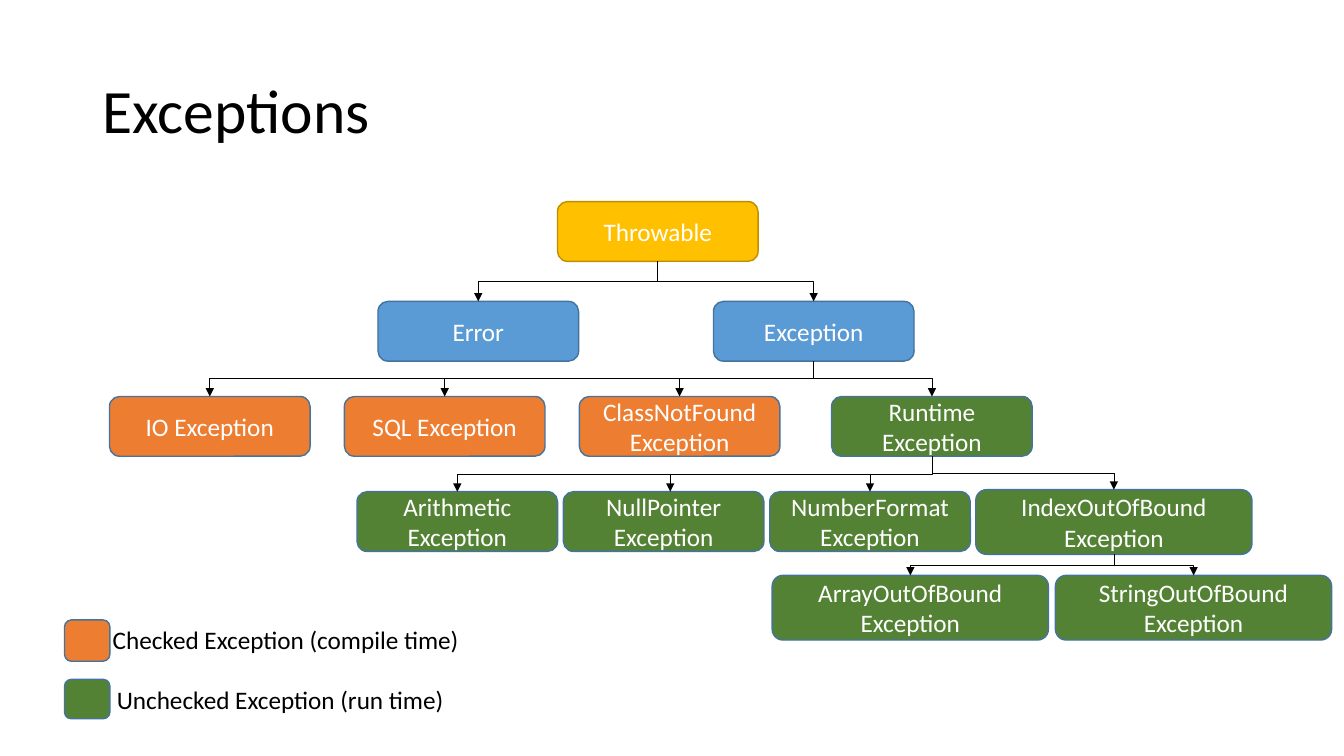
from lxml.etree import SubElement
from pptx import Presentation
from pptx.dml.color import RGBColor
from pptx.enum.shapes import MSO_CONNECTOR, MSO_SHAPE
from pptx.enum.text import MSO_ANCHOR, MSO_AUTO_SIZE, PP_ALIGN
from pptx.oxml.ns import qn
from pptx.util import Pt

BLACK = RGBColor(0x00, 0x00, 0x00)
WHITE = RGBColor(0xFF, 0xFF, 0xFF)
GOLD = RGBColor(0xFF, 0xC0, 0x00)
DARK_GOLD = RGBColor(0xBD, 0x8E, 0x00)
BLUE = RGBColor(0x5B, 0x9B, 0xD5)
DARK_BLUE = RGBColor(0x43, 0x73, 0x9E)
ORANGE = RGBColor(0xED, 0x7D, 0x31)
GREEN = RGBColor(0x54, 0x82, 0x35)

BOX_SIZE = (143.3, 42.7)
WIDE_BOX_SIZE = (197.3, 46.2)
BOTTOM, TOP = 2, 0


class TreeSlide:
    """Holds the style and the current slide; lengths are in points."""

    font_name = "Calibri"
    text_size = 18
    title_size = 44

    def __init__(self, slide):
        self.slide = slide

    def style_text(self, paragraph, size, color, alignment):
        paragraph.alignment = alignment
        paragraph.font.name = self.font_name
        paragraph.font.size = Pt(size)
        paragraph.font.color.rgb = color

    def title(self, text, left, top, width, height):
        shape = self.slide.shapes.title
        shape.left, shape.top = Pt(left), Pt(top)
        shape.width, shape.height = Pt(width), Pt(height)
        frame = shape.text_frame
        frame.text = text
        frame.auto_size = MSO_AUTO_SIZE.NONE
        frame.vertical_anchor = MSO_ANCHOR.MIDDLE
        frame.paragraphs[0].line_spacing = 0.9
        self.style_text(frame.paragraphs[0], self.title_size, BLACK, PP_ALIGN.LEFT)

    def box(self, text, left, top, fill, size=BOX_SIZE, outline=DARK_BLUE):
        shape = self.slide.shapes.add_shape(
            MSO_SHAPE.ROUNDED_RECTANGLE, Pt(left), Pt(top), Pt(size[0]), Pt(size[1]))
        shape.shadow.inherit = False
        shape.fill.solid()
        shape.fill.fore_color.rgb = fill
        shape.line.color.rgb = outline
        shape.line.width = Pt(1)
        if text:
            frame = shape.text_frame
            frame.text = text
            frame.word_wrap = True
            frame.vertical_anchor = MSO_ANCHOR.MIDDLE
            self.style_text(frame.paragraphs[0], self.text_size, WHITE, PP_ALIGN.CENTER)
        return shape

    def label(self, text, left, top, width, height):
        frame = self.slide.shapes.add_textbox(
            Pt(left), Pt(top), Pt(width), Pt(height)).text_frame
        frame.text = text
        frame.word_wrap = False
        frame.auto_size = MSO_AUTO_SIZE.SHAPE_TO_FIT_TEXT
        self.style_text(frame.paragraphs[0], self.text_size, BLACK, PP_ALIGN.LEFT)

    def arrow(self, kind, start_x, start_y, end_x, end_y):
        connector = self.slide.shapes.add_connector(kind, start_x, start_y, end_x, end_y)
        connector.line.color.rgb = BLACK
        connector.line.width = Pt(0.5)
        SubElement(connector.line._get_or_add_ln(), qn("a:tailEnd"), type="triangle")
        SubElement(connector._element.spPr, qn("a:effectLst"))
        return connector

    def branch(self, parent, child):
        """Elbow arrow from the bottom of the parent to the top of the child."""
        start_x, start_y = parent.left + parent.width // 2, parent.top + parent.height
        end_x, end_y = child.left + child.width // 2, child.top
        connector = self.arrow(MSO_CONNECTOR.ELBOW, start_x, start_y, end_x, end_y)
        connector.begin_connect(parent, BOTTOM)
        connector.end_connect(child, TOP)
        # A vertical start needs a quarter turn about the centre
        drop, reach = end_y - start_y, abs(end_x - start_x)
        connector.left = (start_x + end_x - drop) // 2
        connector.top = (start_y + end_y - reach) // 2
        connector.width, connector.height = drop, reach
        transform = connector._element.spPr.find(qn("a:xfrm"))
        for flip in ("flipH", "flipV"):
            transform.attrib.pop(flip, None)
        if end_x > start_x:
            transform.set("rot", "16200000")
            transform.set("flipH", "1")
        else:
            transform.set("rot", "5400000")

    def drop(self, parent, child, shift=0):
        """Straight arrow from the middle of the gap below the parent to the child."""
        x = child.left + child.width // 2 + Pt(shift)
        middle = (parent.top + parent.height + child.top) // 2
        connector = self.arrow(MSO_CONNECTOR.STRAIGHT, x, middle, x, child.top)
        if not shift:
            connector.end_connect(child, TOP)


def main():
    presentation = Presentation()
    presentation.slide_width, presentation.slide_height = Pt(960), Pt(540)
    tree = TreeSlide(presentation.slides.add_slide(presentation.slide_layouts[5]))
    tree.title("Exceptions", 66, 28.75, 828, 104.4)

    # Top levels
    throwable = tree.box("Throwable", 398.2, 144, GOLD, outline=DARK_GOLD)
    error = tree.box("Error", 270, 215.3, BLUE)
    exception = tree.box("Exception", 509.6, 215.3, BLUE)

    # Kinds of exception
    checked_names = ("IO Exception", "SQL Exception", "ClassNotFound Exception")
    input_output, sql, class_not_found = [
        tree.box(name, 78.2 + 167.8 * column, 283.2, ORANGE)
        for column, name in enumerate(checked_names)]
    runtime = tree.box("Runtime Exception", 594, 283.2, GREEN)

    # Kinds of runtime exception
    runtime_names = ("Arithmetic Exception", "NullPointer Exception",
                     "NumberFormat Exception")
    arithmetic, null_pointer, number_format = [
        tree.box(name, 255 + 147.4 * column, 351.2, GREEN)
        for column, name in enumerate(runtime_names)]
    index = tree.box("IndexOutOfBound Exception", 697, 349.8, GREEN, WIDE_BOX_SIZE)
    array, string = [
        tree.box(name, 551.6 + 202.3 * column, 411, GREEN, WIDE_BOX_SIZE)
        for column, name in enumerate(
            ("ArrayOutOfBound Exception", "StringOutOfBound Exception"))]

    # Arrows
    for parent, children in (
            (throwable, (exception, error)),
            (exception, (input_output, runtime)),
            (runtime, (arithmetic, index)),
            (index, (array, string))):
        for child in children:
            tree.branch(parent, child)
    tree.drop(exception, sql)
    tree.drop(exception, class_not_found)
    tree.drop(runtime, null_pointer, shift=4.7)
    tree.drop(runtime, number_format)

    # Legend
    for text, fill, top, height, text_left, text_width in (
            ("Checked Exception (compile time)", ORANGE, 442.8, 29.5, 73.4, 268.6),
            ("Unchecked Exception (run time)", GREEN, 485.3, 28.1, 76.3, 251.3)):
        tree.box("", 46.1, top, fill, (32.4, height))
        tree.label(text, text_left, top - 0.2, text_width, 29)

    presentation.save("out.pptx")


if __name__ == "__main__":
    main()
